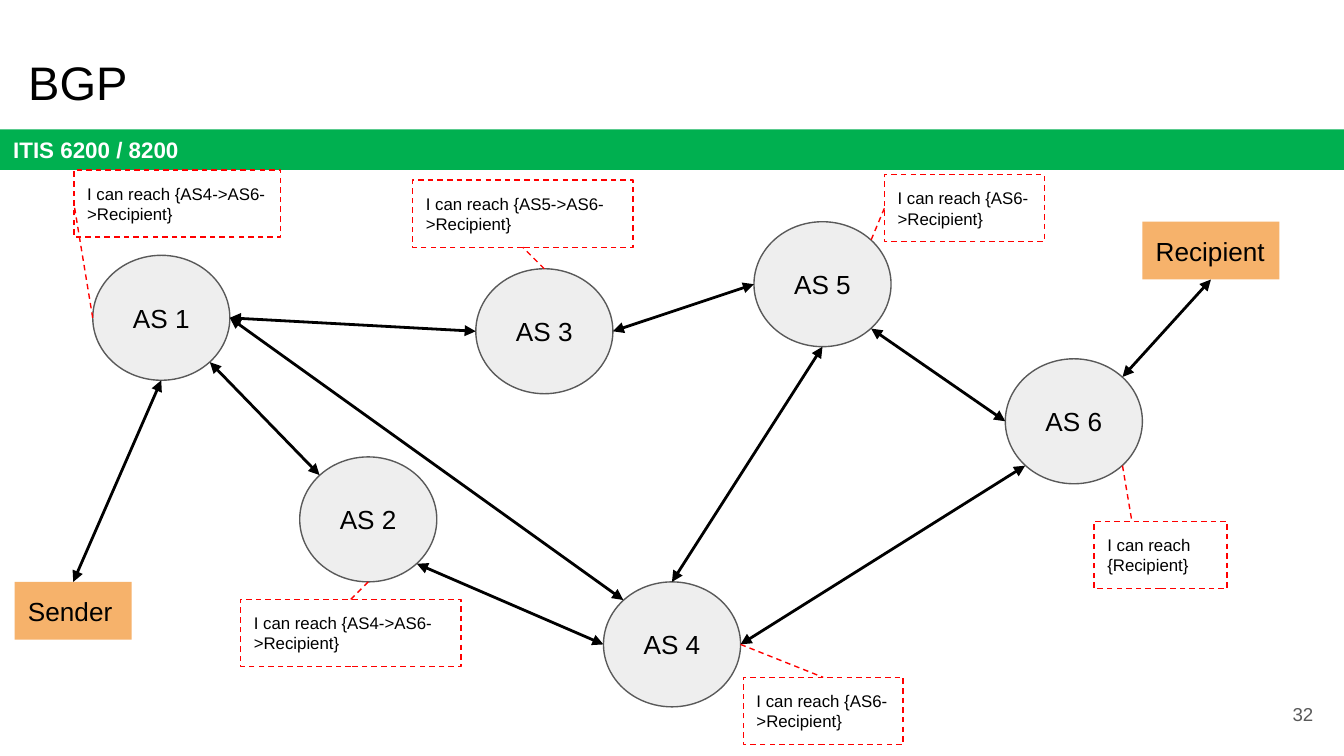
"""Build a slide of BGP route announcements between autonomous systems."""
from lxml import etree
from pptx import Presentation, util as u
from pptx.dml.color import RGBColor
from pptx.enum import dml, shapes, text
from pptx.oxml.ns import qn

prs = Presentation()
prs.slide_width = u.Inches(10)
prs.slide_height = prs.slide_width * 9 // 16
COL = ROW = prs.slide_width / 100
rgb = RGBColor.from_string
s = prs.slides.add_slide(prs.slide_layouts[5])
RECT, OVAL = shapes.MSO_SHAPE.RECTANGLE, shapes.MSO_SHAPE.OVAL
LEFT, CENTER, RIGHT = text.PP_ALIGN.LEFT, text.PP_ALIGN.CENTER, text.PP_ALIGN.RIGHT
TOP, MIDDLE = text.MSO_ANCHOR.TOP, text.MSO_ANCHOR.MIDDLE
D = 0.71
PORTS = {"N": (0, -1), "S": (0, 1), "W": (-1, 0), "E": (1, 0),
         "NW": (-D, -D), "NE": (D, -D), "SW": (-D, D), "SE": (D, D), "N-": (-0.43, -1)}


def box(kind, x, y, w, h, words, size, color="000000", fill=None, line=None,
        align=LEFT, anchor=MIDDLE, bold=False):
    sp = s.shapes.add_shape(kind, *(int(v) for v in (x * COL, y * ROW, w * COL, h * ROW)))
    sp.shadow.inherit = False
    if fill:
        sp.fill.solid()
        sp.fill.fore_color.rgb = rgb(fill)
    else:
        sp.fill.background()
    if line:
        sp.line.color.rgb = rgb(line)
        sp.line.width = u.Pt(0.75)
    else:
        sp.line.fill.background()
    tf = sp.text_frame
    tf.word_wrap, tf.vertical_anchor = True, anchor
    tf.margin_left = tf.margin_right = tf.margin_top = tf.margin_bottom = u.Inches(0.1)
    p = tf.paragraphs[0]
    p.text, p.alignment = words, align
    p.font.name, p.font.size, p.font.bold = "Arial", u.Pt(size), bold
    p.font.color.rgb = rgb(color)
    return sp


def link(a, a_port, b, b_port, color, width):
    ends = []
    for sp, port in ((a, a_port), (b, b_port)):
        dx, dy = PORTS[port]
        ends += [int(sp.left + sp.width * (1 + dx) / 2), int(sp.top + sp.height * (1 + dy) / 2)]
    c = s.shapes.add_connector(shapes.MSO_CONNECTOR.STRAIGHT, *ends)
    c.line.color.rgb, c.line.width = rgb(color), u.Pt(width)
    etree.SubElement(c._element.spPr, qn("a:effectLst"))
    return c


box(RECT, 0, 9.63, 100, 3.02, "ITIS 6200 / 8200", 12, "FFFFFF", "00B050", bold=True)

title = s.shapes.title
title.left, title.top, title.width, title.height = (
    int(v) for v in (1.1 * COL, 3 * ROW, 93.2 * COL, 6.3 * ROW))
tf = title.text_frame
tf.margin_left = tf.margin_right = tf.margin_top = tf.margin_bottom = u.Inches(0.1)
tf.vertical_anchor, tf.auto_size = TOP, text.MSO_AUTO_SIZE.NONE
p = tf.paragraphs[0]
p.text, p.alignment = "BGP", LEFT
p.font.name, p.font.size, p.font.color.rgb = "Arial", u.Pt(25.2), rgb("000000")

box(RECT, 92.7, 51, 6, 4.3, "32", 10, "595959", align=RIGHT)

nodes = {}
for name, x, y, w in (("Sender", 1.1, 43.3, 8.7), ("Recipient", 85, 16.5, 10.2)):
    nodes[name] = box(RECT, x, y, w, 4.3, name, 14, fill="F6B26B")
for name, x, y in (("AS 1", 6.9, 19), ("AS 3", 35.4, 20), ("AS 2", 22.3, 34),
                   ("AS 5", 56.1, 16.5), ("AS 4", 44.9, 43.3), ("AS 6", 74.8, 26.7)):
    nodes[name] = box(OVAL, x, y, 10.2, 9.3, name, 14, fill="EEEEEE", line="595959", align=CENTER)

for a, a_port, b, b_port in (
        ("Sender", "N", "AS 1", "S"), ("AS 1", "E", "AS 3", "W"),
        ("AS 1", "SE", "AS 2", "NW"), ("AS 4", "E", "AS 6", "SW"),
        ("AS 6", "NE", "Recipient", "S"), ("AS 4", "N", "AS 5", "S"),
        ("AS 5", "SE", "AS 6", "W"), ("AS 3", "E", "AS 5", "W"),
        ("AS 1", "E", "AS 4", "NW"), ("AS 2", "SE", "AS 4", "W")):
    ln = link(nodes[a], a_port, nodes[b], b_port, "000000", 1.5).line._get_or_add_ln()
    for end in ("a:headEnd", "a:tailEnd"):
        etree.SubElement(ln, qn(end), type="triangle")

for name, port, x, y, w, route, route_port in (
        ("AS 6", "SE", 81.4, 38.8, 9.9, "Recipient", "N-"),
        ("AS 4", "E", 55.3, 50.4, 11.9, "AS6->Recipient", "N"),
        ("AS 5", "NE", 65.8, 13, 11.9, "AS6->Recipient", "W"),
        ("AS 2", "S", 17.9, 44.6, 16.4, "AS4->AS6->Recipient", "N"),
        ("AS 3", "N", 30.7, 13.4, 16.4, "AS5->AS6->Recipient", "S"),
        ("AS 1", "W", 5.5, 12.65, 15.4, "AS4->AS6->Recipient", "W")):
    note = box(RECT, x, y, w, 5, f"I can reach {{{route}}}", 9, line="FF0000", anchor=TOP)
    leader = link(nodes[name], port, note, route_port, "FF0000", 0.75)
    for sp in (note, leader):
        sp.line.dash_style = dml.MSO_LINE.DASH

prs.save("out.pptx")
